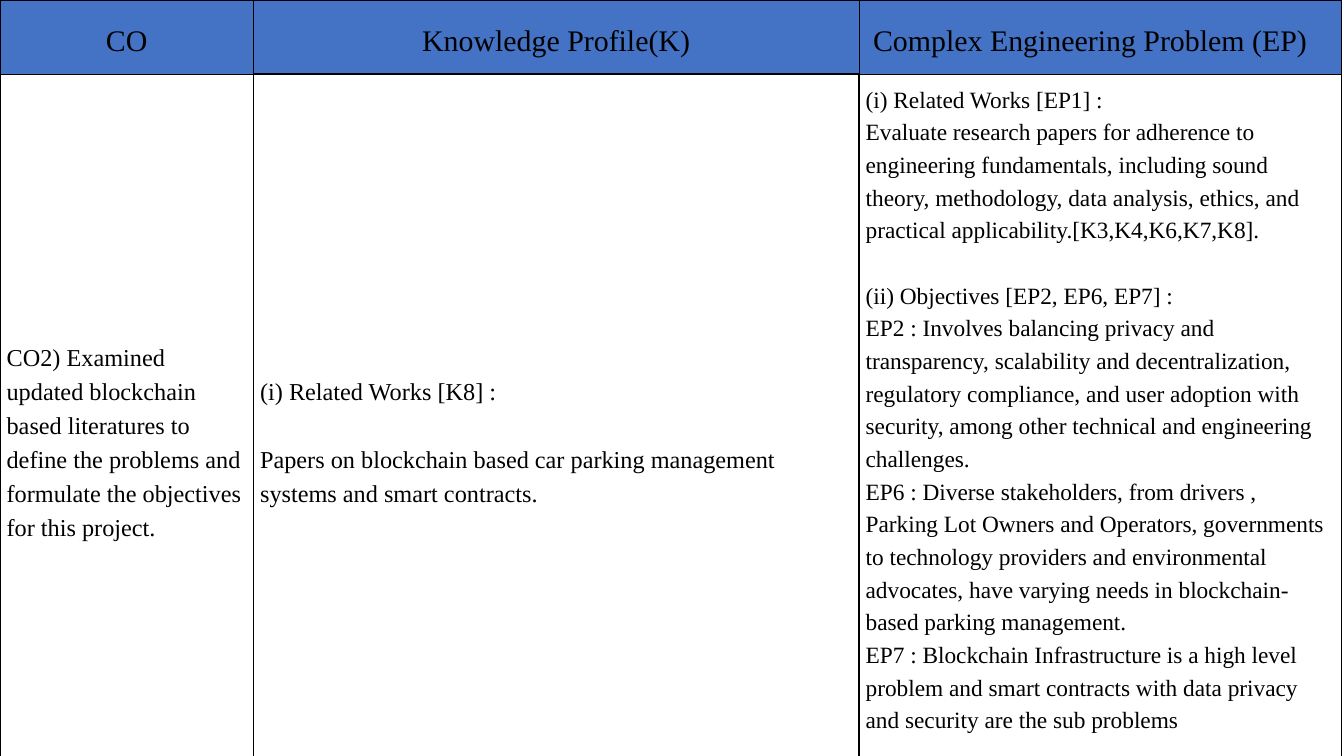
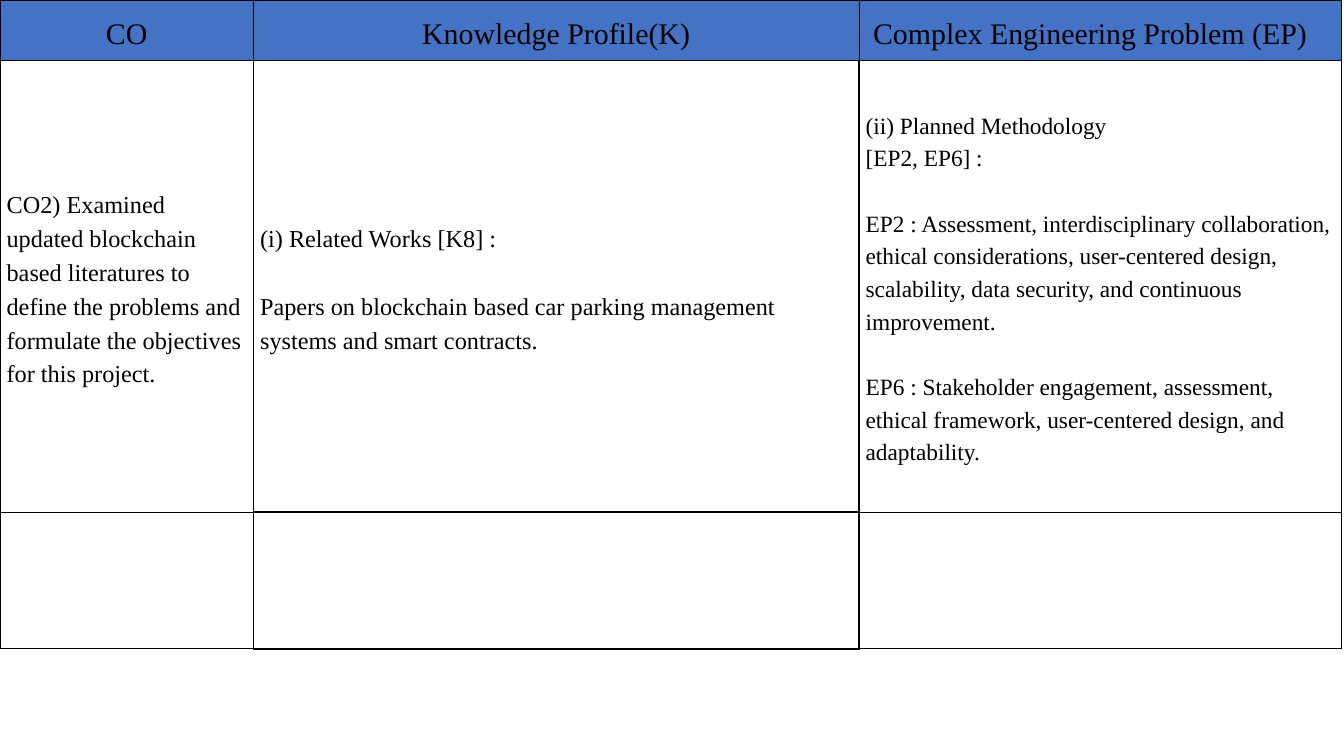
from lxml.etree import SubElement
from pptx import Presentation
from pptx.dml.color import RGBColor as RGB
from pptx.enum.text import MSO_ANCHOR as ANCHOR, PP_ALIGN as ALIGN
from pptx.oxml.ns import qn
from pptx.util import Cm, Pt

COLORS = {"header": "4472C4", "ink": "000000"}
FONT = "Times New Roman"
COL_WIDTHS = (9.58, 22.89, 18.21)
MARGIN = 0.25
THIN, THICK = 0.37, 2.25
THICK_SIDES = ("R", "LRTB", "L")
HEADER_THICK_SIDES = ("", "B", "")
HEADERS = ("CO", "Knowledge Profile(K)", "Complex Engineering Problem (EP)")
OUTCOME = [
    "CO2) Examined updated blockchain based literatures to define the problems "
    "and formulate the objectives for this project.",
]
KNOWLEDGE = [
    "(i) Related Works [K8] :",
    "Papers on blockchain based car parking management systems and smart contracts.",
]
RELATED_WORKS = [
    "(i) Related Works [EP1] :",
    "Evaluate research papers for adherence to engineering fundamentals, including "
    "sound theory, methodology, data analysis, ethics, and practical "
    "applicability.[K3,K4,K6,K7,K8].",
    "(ii) Objectives [EP2, EP6, EP7] :",
    "EP2 : Involves balancing privacy and transparency, scalability and "
    "decentralization, regulatory compliance, and user adoption with security, "
    "among other technical and engineering challenges.",
    "EP6 : Diverse stakeholders, from drivers , Parking Lot Owners and Operators, "
    "governments to technology providers and environmental advocates, have varying "
    "needs in blockchain-based parking management.",
    "EP7 : Blockchain Infrastructure is a high level problem and smart contracts "
    "with data privacy and security are the sub problems",
]
METHODOLOGY = [
    "(ii) Planned Methodology",
    "[EP2, EP6] :",
    "EP2 : Assessment, interdisciplinary collaboration, ethical considerations, "
    "user-centered design, scalability, data security, and continuous improvement.",
    "EP6 : Stakeholder engagement, assessment, ethical framework, user-centered "
    "design, and adaptability.",
]


def write(cell, paragraphs, size=26, align=ALIGN.LEFT, gaps=(), left=MARGIN, bottom=MARGIN):
    cell.margin_left, cell.margin_bottom = Cm(left), Cm(bottom)
    cell.margin_right = cell.margin_top = Cm(MARGIN)
    cell.vertical_anchor = ANCHOR.MIDDLE
    tf = cell.text_frame
    leading = Pt(size * 1.4)
    for i, text in enumerate(paragraphs):
        p = tf.add_paragraph() if i else tf.paragraphs[0]
        p.alignment, p.line_spacing = align, leading
        if i in gaps:
            p.space_before = leading
        r = p.add_run()
        r.text = text
        r.font.size, r.font.name = Pt(size), FONT
        r.font.color.rgb = RGB.from_string(COLORS["ink"])


def set_borders(cell, thick_sides):
    tc_pr = cell._tc.get_or_add_tcPr()
    for i, side in enumerate("LRTB"):
        width = Pt(THICK if side in thick_sides else THIN)
        ln = SubElement(tc_pr, qn(f"a:ln{side}"), w=str(int(width)))
        fill = SubElement(ln, qn("a:solidFill"))
        SubElement(fill, qn("a:srgbClr"), val=COLORS["ink"])
        tc_pr.insert(i, ln)


def add_grid(slide, row_heights):
    frame = slide.shapes.add_table(len(row_heights), len(COL_WIDTHS), 0, 0,
                                   Cm(sum(COL_WIDTHS)), Cm(sum(row_heights)))
    table = frame.table
    table.first_row = table.horz_banding = False
    for column, width in zip(table.columns, COL_WIDTHS):
        column.width = Cm(width)
    for i, (row, height) in enumerate(zip(table.rows, row_heights)):
        row.height = Cm(height)
        for j, cell in enumerate(row.cells):
            if i == 0:
                cell.fill.solid()
                cell.fill.fore_color.rgb = RGB.from_string(COLORS["header"])
            else:
                cell.fill.background()
            set_borders(cell, THICK_SIDES[j] if i else HEADER_THICK_SIDES[j])
    return table


def add_mapping_slide(prs, row_heights, problems, **problem_format):
    table = add_grid(prs.slides.add_slide(prs.slide_layouts[6]), row_heights)
    for j, header in enumerate(HEADERS):
        last = j == len(HEADERS) - 1
        write(table.cell(0, j), [header], size=32,
              align=ALIGN.JUSTIFY if last else ALIGN.CENTER,
              left=0.53 if last else MARGIN)
    write(table.cell(1, 0), OUTCOME)
    write(table.cell(1, 1), KNOWLEDGE, gaps=(1,))
    write(table.cell(1, 2), problems, size=25, **problem_format)


def main():
    prs = Presentation()
    prs.slide_width, prs.slide_height = Cm(50.8), Cm(28.58)
    add_mapping_slide(prs, (2.79, 25.78), RELATED_WORKS, gaps=(2,), bottom=2.72)
    add_mapping_slide(prs, (2.29, 17.07, 5.16), METHODOLOGY, gaps=(2, 3))
    prs.save("out.pptx")


if __name__ == "__main__":
    main()
